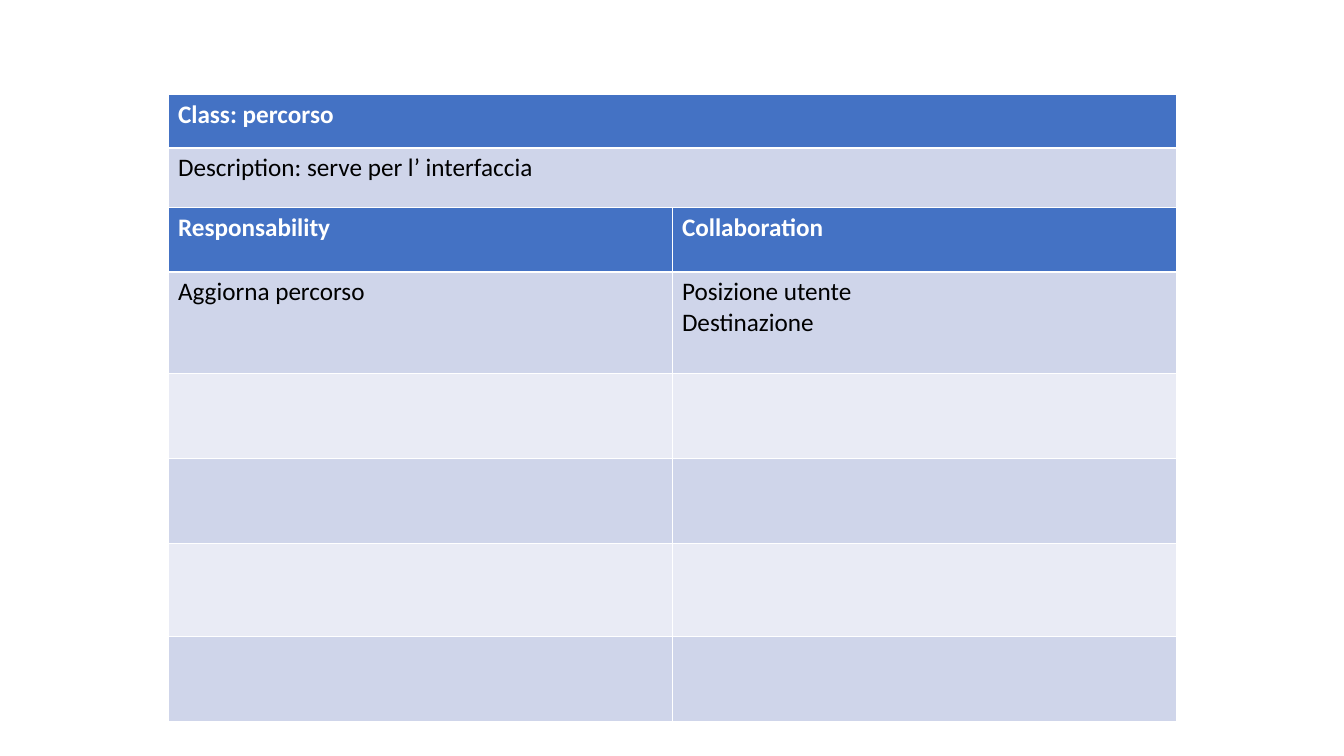
from lxml import etree
from pptx import Presentation
from pptx import util as u
from pptx.dml.color import RGBColor
from pptx.oxml import ns

COLORS = {
    "header": "4472C4",
    "odd": "CFD5EA",
    "even": "E9EBF5",
    "light": "FFFFFF",
    "dark": "000000",
}
THIN, THICK = u.Pt(0.45), u.Pt(1.47)
SUMMARY_HEIGHTS = [0.53, 0.59]
DUTY_HEIGHTS = [0.64, 1.01, 0.84, 0.84, 0.93, 0.84]


def add_borders(cell, row):
    widths = {
        "lnL": THIN,
        "lnR": THIN,
        "lnT": THICK if row == 1 else THIN,
        "lnB": THICK if row == 0 else THIN,
    }
    properties = cell._tc.get_or_add_tcPr()
    for side, width in widths.items():
        border = etree.SubElement(properties, ns.qn(f"a:{side}"), w=str(width))
        paint = etree.SubElement(border, ns.qn("a:solidFill"))
        etree.SubElement(paint, ns.qn("a:srgbClr"), val=COLORS["light"])


def fill_cell(cell, row, wording):
    band = "header" if row == 0 else "odd" if row % 2 else "even"
    add_borders(cell, row)
    cell.fill.solid()
    cell.fill.fore_color.rgb = RGBColor.from_string(COLORS[band])
    cell.text = wording
    for paragraph in cell.text_frame.paragraphs:
        font = paragraph.font
        font.name = "Calibri"
        font.size = u.Pt(18)
        font.bold = row == 0
        font.color.rgb = RGBColor.from_string(COLORS["light" if row == 0 else "dark"])


def add_card_table(slide, left, top, width, heights, wordings):
    columns = len(wordings[0])
    grid = slide.shapes.add_table(
        len(heights), columns, left, top, width, u.Inches(sum(heights))
    ).table
    for row, height in enumerate(heights):
        grid.rows[row].height = u.Inches(height)
        for column in range(columns):
            wording = wordings[row][column] if row < len(wordings) else ""
            fill_cell(grid.cell(row, column), row, wording)


def main():
    deck = Presentation()
    deck.slide_width, deck.slide_height = u.Inches(13.34), u.Inches(7.5)
    slide = deck.slides.add_slide(deck.slide_layouts[6])
    left, top = deck.slide_width // 8, deck.slide_height // 8
    width = deck.slide_width * 3 // 4
    duties_top = top + u.Inches(sum(SUMMARY_HEIGHTS))

    add_card_table(slide, left, duties_top, width, DUTY_HEIGHTS, [
        ["Responsability", "Collaboration"],
        ["Aggiorna percorso", "Posizione utente\nDestinazione"],
    ])
    add_card_table(slide, left, top, width, SUMMARY_HEIGHTS, [
        ["Class: percorso"],
        ["Description: serve per l’ interfaccia"],
    ])
    deck.save("out.pptx")


if __name__ == "__main__":
    main()
